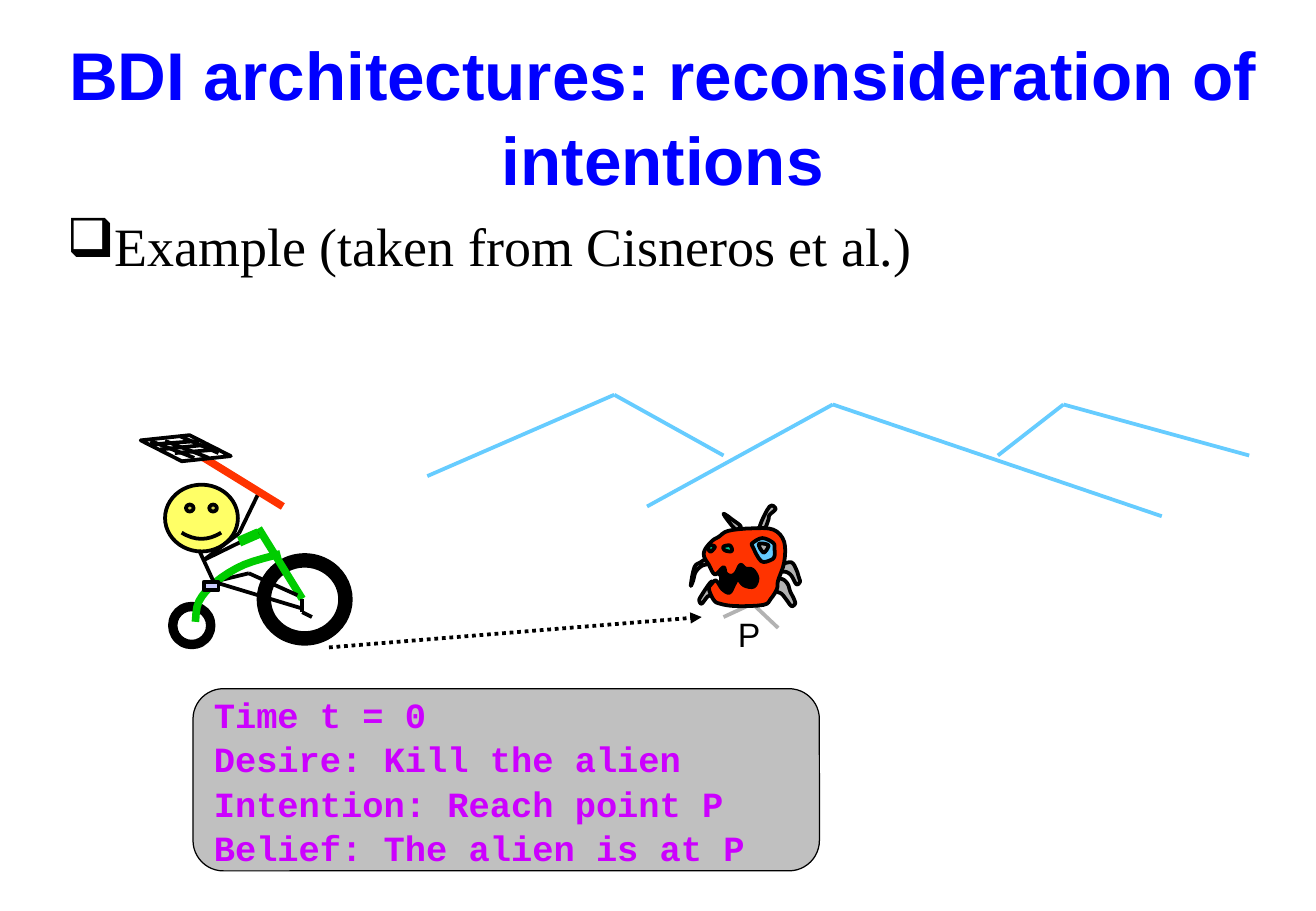
from dataclasses import dataclass
from itertools import pairwise

from lxml import etree
from pptx import Presentation
from pptx import util as u
from pptx.dml.color import RGBColor
from pptx.enum import dml, shapes, text
from pptx.oxml import ns

Point = tuple[float, float]
Kind = shapes.MSO_SHAPE


@dataclass(frozen=True)
class Theme:
    black: str = "000000"
    white: str = "FFFFFF"
    title: str = "0000FF"
    belief: str = "CC00FF"
    panel: str = "C0C0C0"
    sky: str = "66CCFF"
    frame: str = "00CC00"
    red: str = "FF3300"
    skin: str = "FFFF66"
    pedal: str = "CCCCFF"
    grey: str = "B2B2B2"
    pupil: str = "00CC99"
    title_size: float = 40
    body_size: float = 32
    belief_size: float = 21
    label_size: float = 20
    thin: float = 0.75
    stroke: float = 2.25
    thick: float = 4.5
    thickest: float = 6


THEME = Theme()


@dataclass(frozen=True)
class Segment:
    start: Point
    end: Point
    color: str = THEME.black
    width: float = THEME.stroke


@dataclass(frozen=True)
class Preset:
    kind: Kind
    box: tuple[float, float, float, float]
    fill: str
    adjustment: float | None = None
    rotation: float = 0
    width: float = THEME.stroke


@dataclass(frozen=True)
class Curve:
    """A smooth outline through the given points."""
    points: list[Point]
    fill: str | None
    color: str = THEME.black
    width: float = THEME.stroke
    closed: bool = True


@dataclass(frozen=True)
class Label:
    box: tuple[float, float, float, float]
    words: str
    font: str
    size: float
    color: str
    bold: bool = False
    align: text.PP_ALIGN = text.PP_ALIGN.LEFT
    spacing: float = 1.0
    wrap: bool = True


def set_line(line, color: str, width: float) -> None:
    line.color.rgb = RGBColor.from_string(color)
    line.width = u.Pt(width)


def set_fill(shape, color: str | None) -> None:
    shape.shadow.inherit = False
    if color is None:
        shape.fill.background()
    else:
        shape.fill.solid()
        shape.fill.fore_color.rgb = RGBColor.from_string(color)


def draw_segment(canvas, segment: Segment):
    ends = [u.Inches(value) for value in (*segment.start, *segment.end)]
    connector = canvas.add_connector(shapes.MSO_CONNECTOR.STRAIGHT, *ends)
    set_line(connector.line, segment.color, segment.width)
    etree.SubElement(connector._element.spPr, ns.qn("a:effectLst"))
    return connector


def draw_preset(canvas, preset: Preset):
    shape = canvas.add_shape(preset.kind, *map(u.Inches, preset.box))
    if preset.adjustment is not None:
        shape.adjustments[0] = preset.adjustment
    shape.rotation = preset.rotation
    set_fill(shape, preset.fill)
    set_line(shape.line, THEME.black, preset.width)
    return shape


def smooth_points(points: list[Point], closed: bool, steps: int = 4) -> list[Point]:
    """Sample a Catmull-Rom spline through the points."""
    padded = [points[-1], *points, *points[:2]] if closed else [points[0], *points, points[-1]]
    sampled = [points[0]]
    for a, b, c, d in zip(padded, padded[1:], padded[2:], padded[3:]):
        for step in range(1, steps + 1):
            t = step / steps
            sampled.append(tuple(
                (2 * q + (r - p) * t + (2 * p - 5 * q + 4 * r - s) * t**2
                 + (3 * q - p - 3 * r + s) * t**3) / 2
                for p, q, r, s in zip(a, b, c, d)))
    return sampled


def draw_curve(canvas, curve: Curve):
    start, *rest = [(u.Inches(x), u.Inches(y)) for x, y in smooth_points(curve.points, curve.closed)]
    builder = canvas.build_freeform(*start)
    builder.add_line_segments(rest, close=curve.closed)
    shape = builder.convert_to_shape()
    set_fill(shape, curve.fill)
    set_line(shape.line, curve.color, curve.width)
    return shape


def draw_group(slide, parts: list[Segment | Preset | Curve]) -> None:
    canvas = slide.shapes.add_group_shape().shapes
    draw = {Segment: draw_segment, Preset: draw_preset, Curve: draw_curve}
    for part in parts:
        draw[type(part)](canvas, part)


def write_label(shape, label: Label) -> None:
    frame = shape.text_frame
    frame.word_wrap = label.wrap
    frame.text = label.words
    for paragraph in frame.paragraphs:
        paragraph.alignment = label.align
        paragraph.line_spacing = label.spacing
        paragraph.font.name = label.font
        paragraph.font.size = u.Pt(label.size)
        paragraph.font.bold = label.bold
        paragraph.font.color.rgb = RGBColor.from_string(label.color)


def add_label(slide, label: Label):
    shape = slide.shapes.add_textbox(*map(u.Inches, label.box))
    write_label(shape, label)
    return shape


def add_bullet(paragraph, symbol: str, indent: float) -> None:
    properties = paragraph._p.get_or_add_pPr()
    properties.set("marL", str(u.Inches(indent)))
    properties.set("indent", str(-u.Inches(indent)))
    etree.SubElement(properties, ns.qn("a:buChar"), char=symbol)


TITLE = Label((0.38, 0.19, 10.16, 0.83), "BDI architectures: reconsideration of intentions", "Arial",
              THEME.title_size, THEME.title, True, text.PP_ALIGN.CENTER, 1.05)
EXAMPLE = Label((0.45, 1.7, 9.75, 0.97), "Example (taken from Cisneros et al.)", "Times New Roman",
                THEME.body_size, THEME.black)
POINT_P = Label((5.98, 5, 0.38, 0.44), "P", "Arial", THEME.label_size, THEME.black,
                align=text.PP_ALIGN.CENTER, wrap=False)
BELIEFS = Label((1.59, 5.67, 5.16, 1.5),
                "Time t = 0\nDesire: Kill the alien\nIntention: Reach point P\nBelief: The alien is at P",
                "Courier New", THEME.belief_size, THEME.belief, True, spacing=1.05, wrap=False)
MOUNTAINS = [[(3.52, 3.92), (5.06, 3.25), (5.96, 3.75)], [(5.33, 4.17), (6.86, 3.33), (9.57, 4.25)],
             [(8.22, 3.75), (8.76, 3.33), (10.29, 3.75)]]
GROUND = [Segment((6.5, 4.83), (5.96, 5.08), THEME.grey), Segment((6.05, 4.83), (6.41, 5.17), THEME.grey)]
RIDER = [
    Segment((1.76, 4.79), (2.05, 4.72)),
    Preset(Kind.SMILEY_FACE, (1.36, 3.99, 0.6, 0.55), THEME.skin),
    Preset(Kind.DONUT, (2.13, 4.57, 0.76, 0.73), THEME.black, 0.12),
    Preset(Kind.DONUT, (1.4, 4.97, 0.36, 0.36), THEME.black, 0.13),
    Curve([(1.61, 5.12), (1.64, 4.95), (1.78, 4.79), (2.01, 4.65), (2.31, 4.56)], None,
          THEME.frame, THEME.thick, closed=False),
    Segment((2.49, 4.93), (2.13, 4.35), THEME.frame, THEME.thick),
    Segment((1.64, 4.53), (1.76, 4.79)), Segment((2.05, 4.72), (2.45, 4.9)),
    Segment((1.76, 4.79), (2.49, 5.01)), Segment((2.49, 4.93), (2.49, 5.04)),
    Segment((2.49, 5.04), (2.57, 5.08)), Segment((1.68, 4.61), (2.13, 4.39)),
    Segment((2.13, 4.39), (1.97, 4.46), THEME.frame, THEME.thickest),
    Preset(Kind.RECTANGLE, (1.68, 4.79, 0.12, 0.07), THEME.pedal),
    Segment((1.68, 4.61), (1.97, 4.39)), Segment((1.97, 4.39), (2.13, 4.06)),
    Segment((2.33, 4.17), (1.68, 3.77), THEME.red, THEME.thick),
    Preset(Kind.PARALLELOGRAM, (1.17, 3.58, 0.72, 0.22), THEME.white, 1.545, 26.9),
    Segment((1.24, 3.63), (1.6, 3.77)), Segment((1.36, 3.63), (1.72, 3.77)),
    Segment((1.48, 3.59), (1.8, 3.73)), Segment((1.24, 3.66), (1.64, 3.63)),
    Segment((1.32, 3.7), (1.72, 3.66)), Segment((1.44, 3.73), (1.8, 3.7)),
]
MOUTH = [(5.9, 4.71), (5.94, 4.75), (5.93, 4.85), (5.99, 4.92), (6.17, 4.9), (6.26, 4.85), (6.29, 4.8),
         (6.27, 4.72), (6.15, 4.62), (6.05, 4.61), (5.86, 4.66)]
LIMBS = [
    [(6.44, 4.65), (6.52, 4.63), (6.56, 4.69), (6.58, 4.75), (6.59, 4.79), (6.56, 4.81), (6.52, 4.74),
     (6.48, 4.71), (6.43, 4.7)],
    [(6.4, 4.77), (6.45, 4.77), (6.49, 4.81), (6.51, 4.87), (6.54, 4.93), (6.55, 4.97), (6.52, 4.99),
     (6.48, 4.94), (6.44, 4.89), (6.4, 4.87), (6.39, 4.84)],
    [(6.05, 4.35), (5.96, 4.23), (6.05, 4.29), (6.1, 4.33), (6.09, 4.35)],
    [(6.26, 4.33), (6.34, 4.17), (6.39, 4.19), (6.34, 4.24), (6.33, 4.28), (6.3, 4.35)],
    [(5.84, 4.64), (5.78, 4.66), (5.73, 4.71), (5.71, 4.78), (5.69, 4.82), (5.72, 4.67), (5.77, 4.63),
     (5.81, 4.61)],
    [(5.87, 4.79), (5.84, 4.81), (5.78, 4.9), (5.76, 4.94), (5.78, 4.97), (5.83, 4.91), (5.87, 4.9),
     (5.88, 4.86)],
]
BODY = [(6, 4.37), (5.92, 4.42), (5.87, 4.45), (5.81, 4.52), (5.8, 4.58), (5.84, 4.65), (5.89, 4.73),
        (5.96, 4.67), (5.98, 4.72), (6.02, 4.74), (6.06, 4.72), (6.1, 4.65), (6.14, 4.68), (6.2, 4.69),
        (6.24, 4.76), (6.21, 4.83), (6.13, 4.82), (6.08, 4.77), (6.05, 4.81), (6.01, 4.88), (5.95, 4.85),
        (5.9, 4.78), (5.86, 4.81), (5.84, 4.85), (5.88, 4.94), (5.93, 4.97), (6.06, 4.99), (6.29, 4.98),
        (6.35, 4.93), (6.4, 4.85), (6.41, 4.78), (6.46, 4.63), (6.46, 4.46), (6.37, 4.36), (6.19, 4.35)]
ALIEN = [
    Curve(MOUTH, THEME.black), *(Curve(limb, THEME.grey) for limb in LIMBS), Curve(BODY, THEME.red),
    Curve([(6.38, 4.52), (6.37, 4.47), (6.28, 4.43), (6.2, 4.47), (6.2, 4.5), (6.27, 4.62),
           (6.35, 4.61), (6.38, 4.58)], THEME.sky),
    Curve([(6.31, 4.48), (6.25, 4.48), (6.29, 4.55), (6.33, 4.5)], THEME.grey),
    Curve([(5.96, 4.5), (6.01, 4.49), (6.03, 4.52), (6.02, 4.54), (5.97, 4.53)], THEME.pupil),
    Curve([(5.89, 4.5), (5.84, 4.49), (5.84, 4.53), (5.86, 4.54)], THEME.pupil),
]


def main() -> None:
    presentation = Presentation()
    presentation.slide_width, presentation.slide_height = u.Inches(10.84), u.Inches(7.5)
    slide = presentation.slides.add_slide(presentation.slide_layouts[6])
    add_label(slide, TITLE)
    example = add_label(slide, EXAMPLE)
    add_bullet(example.text_frame.paragraphs[0], "❑", 0.38)
    draw_group(slide, RIDER)
    panel = Preset(Kind.ROUNDED_RECTANGLE, BELIEFS.box, THEME.panel, width=THEME.thin)
    write_label(draw_preset(slide.shapes, panel), BELIEFS)
    slopes = [Segment(*ends, THEME.sky) for ridge in MOUNTAINS for ends in pairwise(ridge)]
    for slope in slopes:
        draw_segment(slide.shapes, slope)
    add_label(slide, POINT_P)
    for line in GROUND:
        draw_segment(slide.shapes, line)
    draw_group(slide, ALIEN)
    route = draw_segment(slide.shapes, Segment((2.71, 5.33), (5.78, 5.08)))
    route.line.dash_style = dml.MSO_LINE.ROUND_DOT
    etree.SubElement(route.line._get_or_add_ln(), ns.qn("a:tailEnd"), type="triangle")
    presentation.save("out.pptx")


if __name__ == "__main__":
    main()
